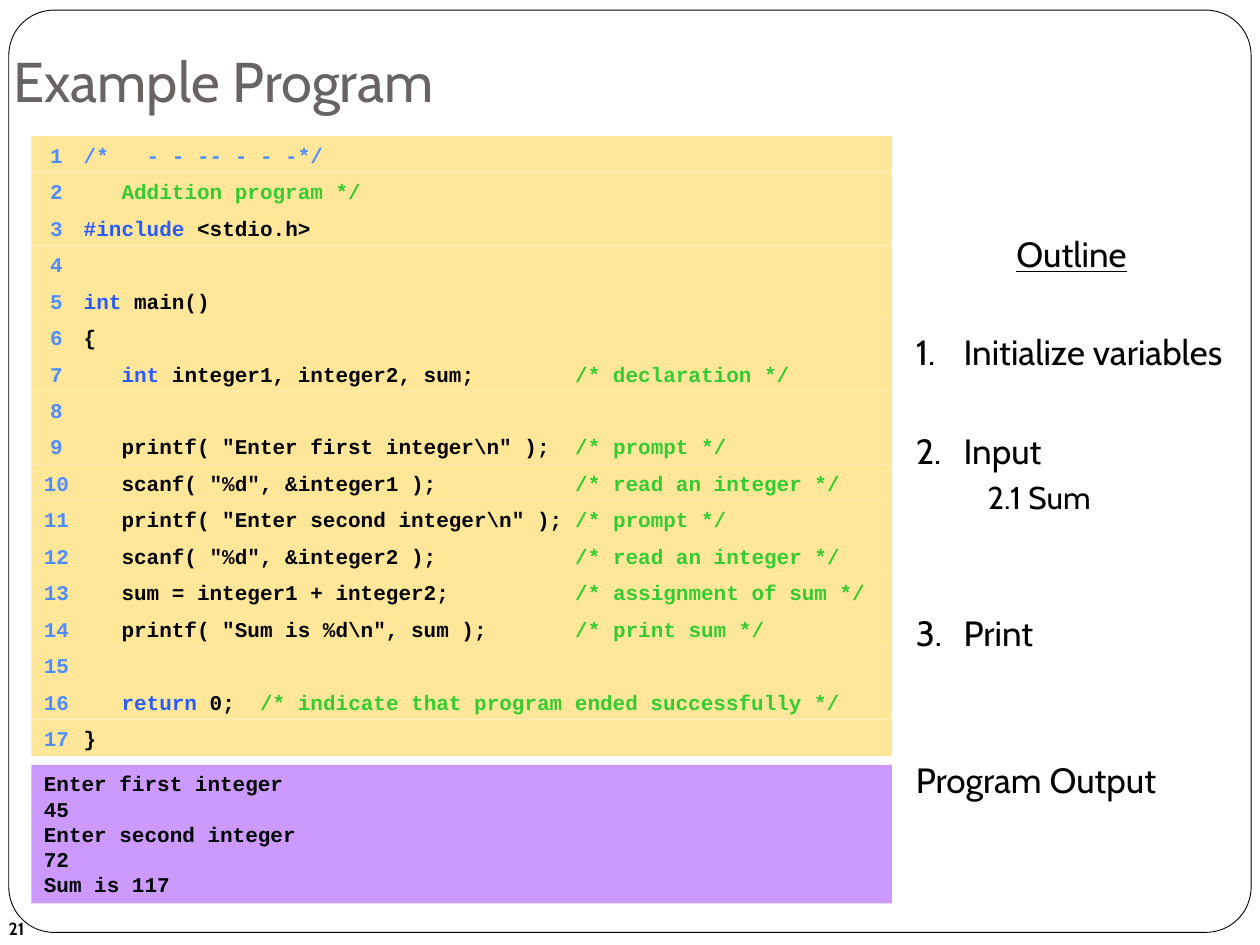
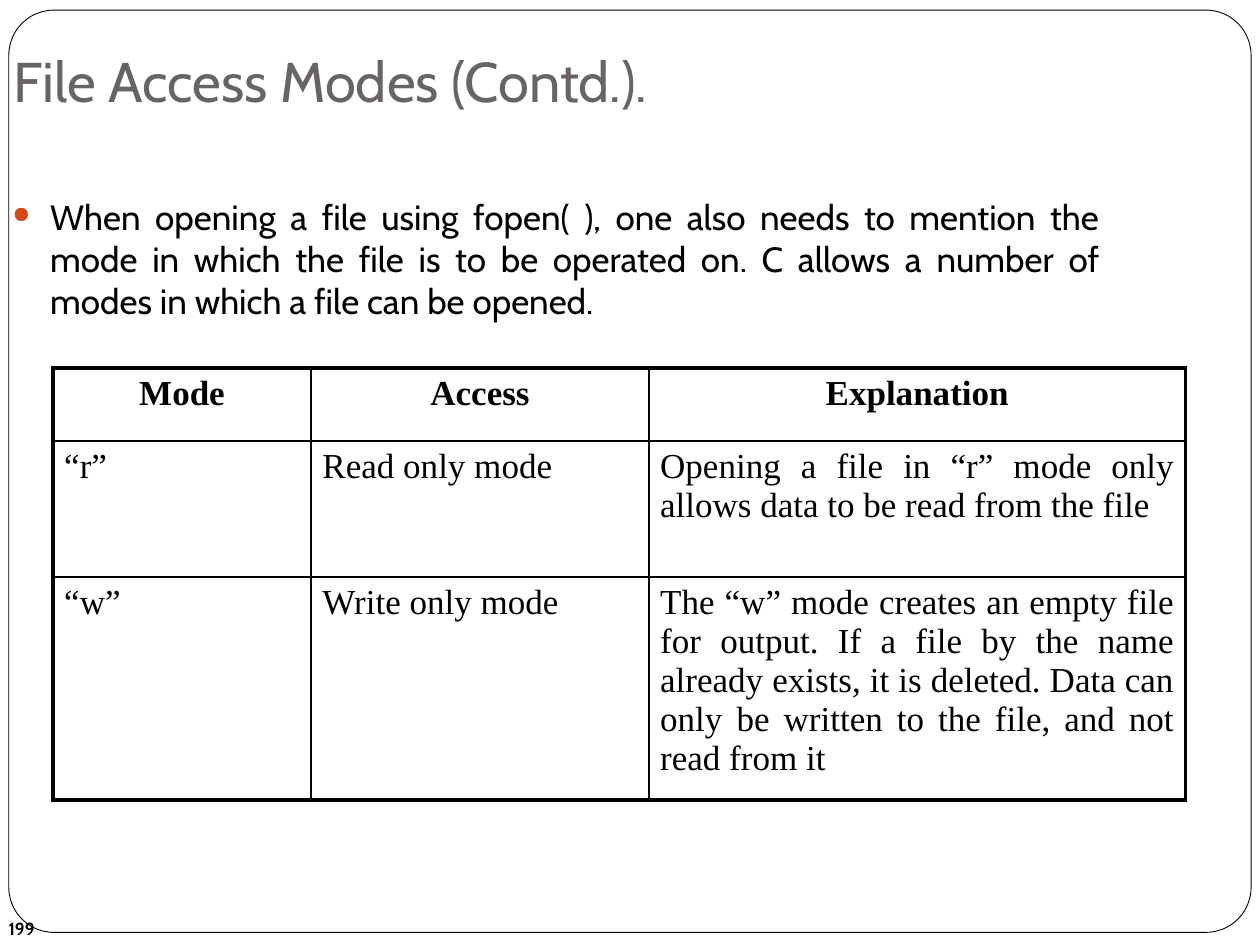
from dataclasses import dataclass

from lxml import etree
from pptx import Presentation
from pptx import util as u
from pptx.dml.color import RGBColor
from pptx.enum import shapes, text
from pptx.oxml.ns import qn

LEFT, CENTER, JUSTIFY = text.PP_ALIGN.LEFT, text.PP_ALIGN.CENTER, text.PP_ALIGN.JUSTIFY


@dataclass(frozen=True)
class Theme:
    white: str = "FFFFFF"
    ink: str = "000000"
    title: str = "696464"
    bullet: str = "D34817"
    listing: str = "FFE699"
    output: str = "CC99FF"
    number: str = "4D8DFF"
    keyword: str = "275AFF"
    comment: str = "33CC33"
    sans: str = "Cabin"
    mono: str = "Courier New"
    serif: str = "Times New Roman"
    title_size: int = 32
    body_size: int = 20
    sub_size: int = 18
    code_size: int = 12
    code_pitch: float = 14.4
    digit_width: float = 7.2
    code_start: float = 22.8
    page_size: int = 10
    thin: float = 1
    thick: float = 2.25


THEME = Theme()

CODE = [
    [("number", "/*   - - -- - - -*/")],
    [("comment", "   Addition program */")],
    [("keyword", "#include"), ("ink", " <stdio.h>")],
    [],
    [("keyword", "int"), ("ink", " main()")],
    [("ink", "{")],
    [("keyword", "   int"), ("ink", " integer1, integer2, sum;        "),
     ("comment", "/* declaration */")],
    [],
    [("ink", '   printf( "Enter first integer\\n" );  '), ("comment", "/* prompt */")],
    [("ink", '   scanf( "%d", &integer1 );           '), ("comment", "/* read an integer */")],
    [("ink", '   printf( "Enter second integer\\n" ); '), ("comment", "/* prompt */")],
    [("ink", '   scanf( "%d", &integer2 );           '), ("comment", "/* read an integer */")],
    [("ink", "   sum = integer1 + integer2;          "), ("comment", "/* assignment of sum */")],
    [("ink", '   printf( "Sum is %d\\n", sum );       '), ("comment", "/* print sum */")],
    [],
    [("keyword", "   return"), ("ink", " 0;  "),
     ("comment", "/* indicate that program ended successfully */")],
    [("ink", "}")],
]
PROGRAM_OUTPUT = ["Enter first integer", "45", "Enter second integer", "72", "Sum is 117"]

MODES = [
    ["Mode", "Access", "Explanation"],
    ["“r”", "Read only mode",
     "Opening a file in “r” mode only allows data to be read from the file"],
    ["“w”", "Write only mode",
     "The “w” mode creates an empty file for output. If a file by the name already exists, "
     "it is deleted. Data can only be written to the file, and not read from it"],
]


class SlideBuilder:
    def __init__(self, theme):
        self.theme = theme
        self.deck = Presentation()
        self.deck.slide_width, self.deck.slide_height = u.Inches(10), u.Inches(7.5)
        self.page = None

    def new_page(self, title, number):
        theme = self.theme
        self.page = self.deck.slides.add_slide(self.deck.slide_layouts[6])
        frame = self.shape(0.07, 0.08, 9.86, 7.32, theme.white, shapes.MSO_SHAPE.ROUNDED_RECTANGLE)
        frame.adjustments[0] = 0.049
        frame.line.color.rgb = RGBColor.from_string(theme.ink)
        frame.line.width = u.Pt(0.5)
        footer = self.text_box(-0.03, 7.17, 2.33, 0.4, text.MSO_ANCHOR.MIDDLE)
        self.span(self.para(footer), str(number), theme.page_size, bold=True)
        heading = self.text_box(0.01, 0, 8.27, 1, text.MSO_ANCHOR.BOTTOM)
        heading.margin_bottom = u.Inches(0.1)
        self.span(self.para(heading), title, theme.title_size, theme.title)

    def shape(self, left, top, width, height, fill,
              kind=shapes.MSO_SHAPE.RECTANGLE, parent=None):
        box = (parent or self.page).shapes.add_shape(
            kind, *map(u.Inches, (left, top, width, height)))
        box.shadow.inherit = False
        box.fill.solid()
        box.fill.fore_color.rgb = RGBColor.from_string(fill)
        box.line.fill.background()
        box.text_frame.vertical_anchor = text.MSO_ANCHOR.TOP
        return box

    def text_box(self, left, top, width, height, anchor=text.MSO_ANCHOR.TOP):
        box = self.page.shapes.add_textbox(*map(u.Inches, (left, top, width, height)))
        box.text_frame.word_wrap = True
        box.text_frame.vertical_anchor = anchor
        return box.text_frame

    def para(self, frame, align=LEFT, before=0, pitch=None, indent=0, hang=0):
        first = frame.paragraphs[0]
        para = frame.add_paragraph() if first.runs else first
        para.alignment = align
        para.space_before = u.Pt(before)
        if pitch:
            para.line_spacing = u.Pt(pitch)
        properties = para._p.get_or_add_pPr()
        properties.set("marL", str(u.Inches(indent)))
        properties.set("indent", str(-u.Inches(hang)))
        return para

    def add_property(self, parent, tag, **attributes):
        return etree.SubElement(parent, qn(tag), {key: str(value) for key, value in attributes.items()})

    def number_item(self, para, number):
        self.add_property(para._p.pPr, "a:buAutoNum", type="arabicPeriod", startAt=number)

    def bullet(self, para):
        properties = para._p.pPr
        color = self.add_property(properties, "a:buClr")
        self.add_property(color, "a:srgbClr", val=self.theme.bullet)
        self.add_property(properties, "a:buSzPct", val=65000)
        self.add_property(properties, "a:buChar", char="●")

    def span(self, para, words, size=None, color=None, font=None, bold=False, underline=False):
        span = para.add_run()
        span.text = words
        span.font.size = u.Pt(size or self.theme.body_size)
        span.font.name = font or self.theme.sans
        span.font.color.rgb = RGBColor.from_string(color or self.theme.ink)
        span.font.bold = bold
        span.font.underline = underline
        return span

    def code_span(self, para, words, color=None):
        return self.span(para, words, self.theme.code_size, color, self.theme.mono, bold=True)

    def line_number(self, frame, number):
        theme = self.theme
        digits = str(number)
        indent = (2 - len(digits)) * theme.digit_width / 2
        para = self.para(frame, pitch=theme.code_pitch, indent=indent / 72)
        self.code_span(para, digits, theme.number)
        gap = self.code_span(para, " ", theme.number)
        extra = theme.code_start - indent - (len(digits) + 1) * theme.digit_width
        gap.font._element.set("spc", str(round(extra * 100)))
        return para

    def code_listing(self, left, top, width, pitch, lines):
        group = self.page.shapes.add_group_shape()
        for index, tokens in enumerate(lines):
            row = self.shape(left, top + index * pitch, width, pitch, self.theme.listing, parent=group)
            para = self.line_number(row.text_frame, index + 1)
            for role, words in tokens:
                self.code_span(para, words, getattr(self.theme, role))

    def console(self, left, top, width, height, lines):
        frame = self.shape(left, top, width, height, self.theme.output).text_frame
        for line in lines:
            self.code_span(self.para(frame, pitch=self.theme.code_pitch), line)

    def cell_border(self, cell, side, width):
        line = self.add_property(cell._tc.get_or_add_tcPr(), f"a:ln{side}", w=u.Pt(width))
        fill = self.add_property(line, "a:solidFill")
        self.add_property(fill, "a:srgbClr", val=self.theme.ink)

    def table(self, left, top, widths, heights, rows):
        theme = self.theme
        last_row, last_column = len(heights) - 1, len(widths) - 1
        table = self.page.shapes.add_table(
            len(heights), len(widths),
            *map(u.Inches, (left, top, sum(widths), sum(heights)))).table
        table.first_row = table.horz_banding = False
        for column, width in zip(table.columns, widths):
            column.width = u.Inches(width)
        for row_index, (height, words_in_row) in enumerate(zip(heights, rows)):
            table.rows[row_index].height = u.Inches(height)
            for column_index, words in enumerate(words_in_row):
                cell = table.cell(row_index, column_index)
                cell.margin_left = cell.margin_right = u.Inches(0.09)
                outer = {"L": column_index == 0, "R": column_index == last_column,
                         "T": row_index == 0, "B": row_index == last_row}
                for side, is_outer in outer.items():
                    self.cell_border(cell, side, theme.thick if is_outer else theme.thin)
                cell.fill.solid()
                cell.fill.fore_color.rgb = RGBColor.from_string(theme.white)
                header = row_index == 0
                align = CENTER if header else JUSTIFY if column_index == last_column else LEFT
                para = self.para(cell.text_frame, align)
                self.span(para, words, font=theme.serif, bold=header)


def build_example_program(builder):
    builder.new_page("Example Program", 21)
    builder.code_listing(0.25, 1.08, 6.83, 4.92 / len(CODE), CODE)
    builder.console(0.25, 6.07, 6.83, 1.1, PROGRAM_OUTPUT)
    outline = builder.text_box(7.17, 1.8, 2.67, 5.4)
    builder.span(builder.para(outline, CENTER), "Outline", underline=True)
    steps = [("Initialize variables", 32), ("Input", 32), ("Print", 54.5)]
    for number, (step, before) in enumerate(steps, 1):
        para = builder.para(outline, before=before, indent=0.38, hang=0.38)
        builder.number_item(para, number)
        builder.span(para, step)
        if step == "Input":
            detail = builder.para(outline, before=4, indent=0.57)
            builder.span(detail, "2.1 Sum", builder.theme.sub_size)
    builder.span(builder.para(outline, before=60), "Program Output")


def build_file_access_modes(builder):
    builder.new_page("File Access Modes (Contd.).", 199)
    builder.table(0.42, 2.92, [2.05, 2.68, 4.26], [0.58, 1.08, 1.77], MODES)
    body = builder.text_box(0, 1.5, 8.83, 1.17)
    para = builder.para(body, JUSTIFY, indent=0.3, hang=0.3)
    builder.bullet(para)
    builder.span(para, "When opening a file using fopen( ), one also needs to mention the mode in "
                       "which the file is to be operated on. C allows a number of modes in which "
                       "a file can be opened.")


def main():
    builder = SlideBuilder(THEME)
    build_example_program(builder)
    build_file_access_modes(builder)
    builder.deck.save("out.pptx")


if __name__ == "__main__":
    main()
